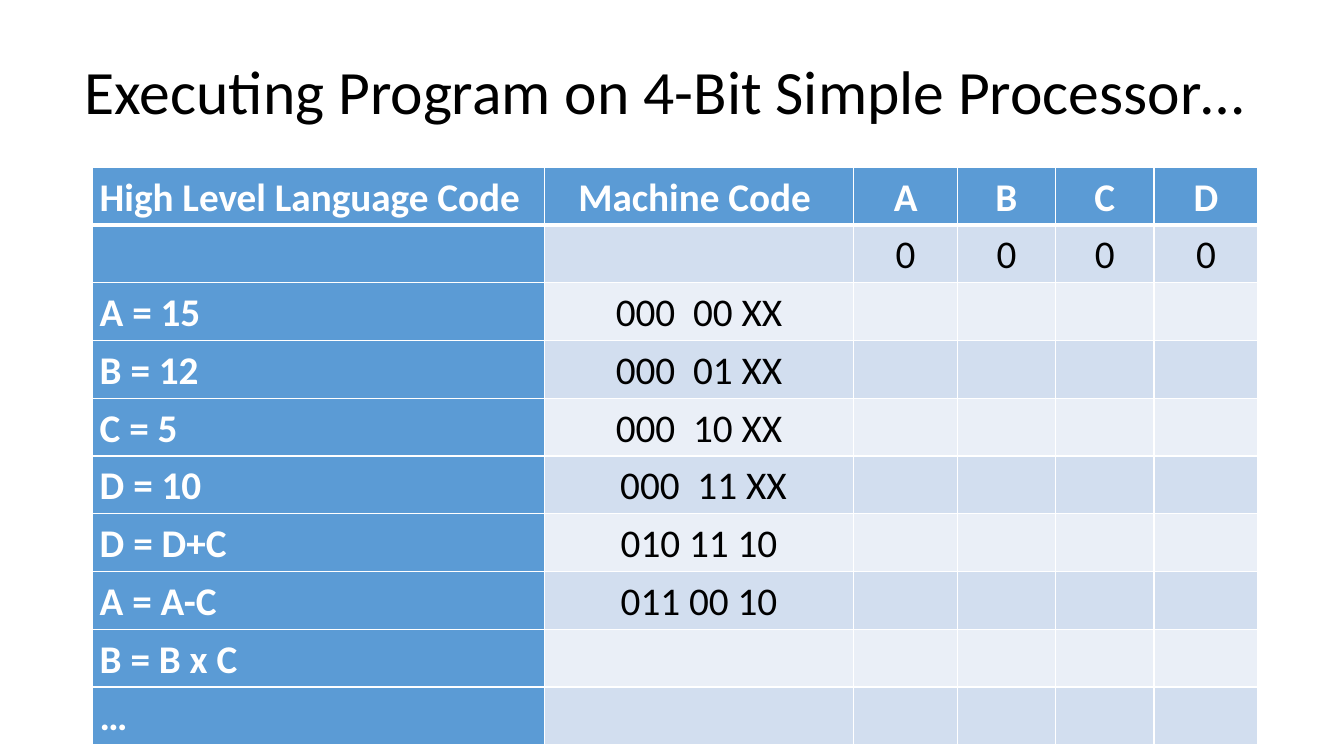
from dataclasses import dataclass

from lxml.etree import SubElement
from pptx import Presentation
from pptx.dml.color import RGBColor
from pptx.enum.text import MSO_ANCHOR, MSO_AUTO_SIZE, PP_ALIGN
from pptx.oxml.ns import qn
from pptx.util import Pt


@dataclass(frozen=True)
class Theme:
    font: str = "Calibri"
    title_size: int = 44
    cell_size: int = 28
    dark_text: str = "000000"
    light_text: str = "FFFFFF"
    border: str = "FFFFFF"
    heading_fill: str = "5B9BD5"
    band_fills: tuple = ("EAEFF7", "D2DEEF")


THEME = Theme()
TITLE = "Executing Program on 4-Bit Simple Processor…"
COLUMN_WIDTHS = (322.56, 221.04, 74.16, 69.84, 70.56, 74.16)
ROW_HEIGHT = 41.26
# Some gaps in the machine code are no-break spaces, which shift the centred text.
PROGRAM = (
    ("High Level Language Code", "Machine Code ", "A", "B", "C", "D"),
    ("", "", "0", "0", "0", "0"),
    ("A = 15", "000  00 XX"),
    ("B = 12", "000  01 XX"),
    ("C = 5", "000  10 XX"),
    ("D = 10", " 000  11 XX"),
    ("D = D+C", "010 11 10"),
    ("A = A-C", "011 00 10"),
    ("B = B x C",),
    ("…",),
)


def format_paragraph(paragraph, size, color, alignment, line_spacing, bold=False):
    paragraph.alignment = alignment
    paragraph.line_spacing = line_spacing
    font = paragraph.font
    font.name = THEME.font
    font.size = Pt(size)
    font.bold = bold
    font.color.rgb = RGBColor.from_string(color)


def add_title(slide, text):
    title = slide.shapes.title
    title.left, title.top, title.width, title.height = (
        Pt(53.28), Pt(15.12), Pt(858.24), Pt(104.4))
    frame = title.text_frame
    frame.text = text
    frame.auto_size = MSO_AUTO_SIZE.NONE
    frame.vertical_anchor = MSO_ANCHOR.MIDDLE
    format_paragraph(frame.paragraphs[0], THEME.title_size, THEME.dark_text,
                     PP_ALIGN.LEFT, 0.9)


def set_borders(cell, top, bottom):
    """Draw the cell's four borders; call before filling, as the schema wants lines first."""
    properties = cell._tc.get_or_add_tcPr()
    for side, width in (("L", 1), ("R", 1), ("T", top), ("B", bottom)):
        line = SubElement(properties, qn(f"a:ln{side}"), w=str(Pt(width)))
        fill = SubElement(line, qn("a:solidFill"))
        SubElement(fill, qn("a:srgbClr"), val=THEME.border)


def format_cell(cell, text, row, column):
    is_heading = row == 0 or column == 0
    set_borders(cell, top=3 if row == 1 else 1, bottom=3 if row == 0 else 1)
    cell.fill.solid()
    cell.fill.fore_color.rgb = RGBColor.from_string(
        THEME.heading_fill if is_heading else THEME.band_fills[row % 2])
    cell.margin_left = cell.margin_right = Pt(5)
    cell.margin_top = cell.margin_bottom = Pt(0)
    cell.vertical_anchor = MSO_ANCHOR.MIDDLE
    cell.text = text
    format_paragraph(cell.text_frame.paragraphs[0], THEME.cell_size,
                     THEME.light_text if is_heading else THEME.dark_text,
                     PP_ALIGN.CENTER if column else PP_ALIGN.LEFT, 1.07, is_heading)


def add_program_table(slide):
    table = slide.shapes.add_table(
        len(PROGRAM), len(COLUMN_WIDTHS), Pt(66.24), Pt(119.52),
        Pt(sum(COLUMN_WIDTHS)), Pt(ROW_HEIGHT * len(PROGRAM))).table
    table.first_row = table.horz_banding = False
    for column, width in zip(table.columns, COLUMN_WIDTHS):
        column.width = Pt(width)
    for row, texts in enumerate(PROGRAM):
        table.rows[row].height = Pt(ROW_HEIGHT)
        for column in range(len(COLUMN_WIDTHS)):
            text = texts[column] if column < len(texts) else ""
            format_cell(table.cell(row, column), text, row, column)


def main():
    presentation = Presentation()
    presentation.slide_width, presentation.slide_height = Pt(960), Pt(540)
    title_only = presentation.slide_layouts[5]
    slide = presentation.slides.add_slide(title_only)
    add_title(slide, TITLE)
    add_program_table(slide)
    presentation.save("out.pptx")


if __name__ == "__main__":
    main()
